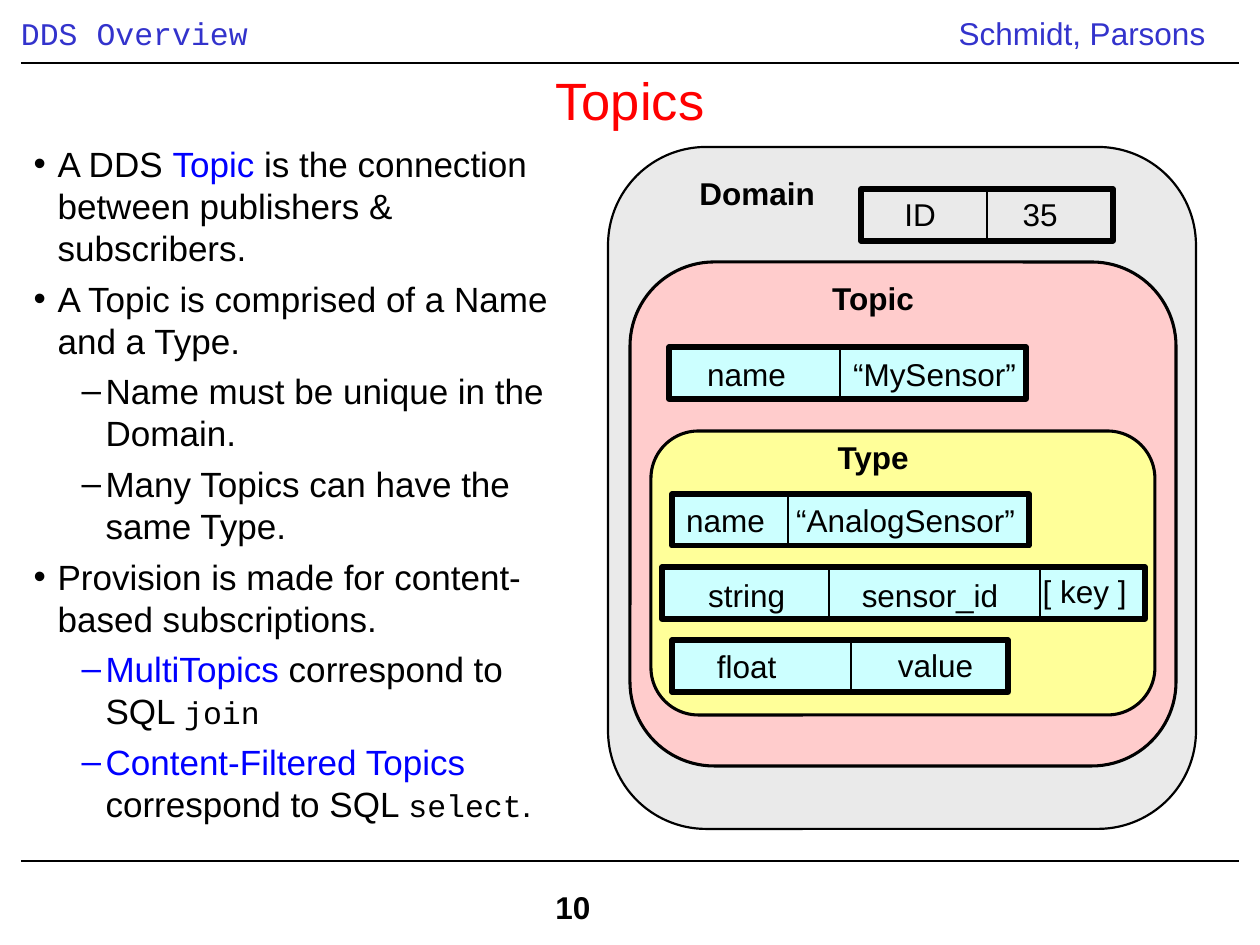
from lxml import etree
from pptx import Presentation
from pptx.dml.color import RGBColor
from pptx.enum.shapes import MSO_CONNECTOR, MSO_SHAPE
from pptx.enum.text import MSO_ANCHOR, MSO_AUTO_SIZE, PP_ALIGN
from pptx.oxml.ns import qn
from pptx.util import Emu, Pt

RECT = MSO_SHAPE.RECTANGLE
ROUND = MSO_SHAPE.ROUNDED_RECTANGLE
STRAIGHT = MSO_CONNECTOR.STRAIGHT
LEFT, CENTER = PP_ALIGN.LEFT, PP_ALIGN.CENTER
TOP, MIDDLE = MSO_ANCHOR.TOP, MSO_ANCHOR.MIDDLE
NO_FIT = MSO_AUTO_SIZE.NONE

SCALE = 914400 / 126
SANS, MONO = "Arial", "Courier New"
ROW_H, TEXT_H, HANG = 52, 50, 24
COLORS = {
    "ink": "000000", "header": "3333CC", "title": "FF0000", "term": "0000FF",
    "domain": "EAEAEA", "topic": "FFCCCC", "type": "FFFF99", "cell": "CCFFFF",
    "white": "FFFFFF",
}

# (level, space before in points, [(text, style)])
BULLETS = [
    (0, 0, [("A DDS ", "plain"), ("Topic", "term"),
            (" is the connection between publishers & subscribers.", "plain")]),
    (0, 5, [("A Topic is comprised of a Name and a Type.", "plain")]),
    (1, 5, [("Name must be unique in the Domain.", "plain")]),
    (1, 5, [("Many Topics can have the same Type.", "plain")]),
    (0, 5, [("Provision is made for content-based subscriptions.", "plain")]),
    (1, 4.5, [("MultiTopics", "term"), (" correspond to SQL ", "plain"),
              ("join", "code")]),
    (1, 5, [("Content-Filtered Topics", "term"),
            (" correspond to SQL ", "plain"), ("select", "code"),
            (".", "plain")]),
]
STYLES = {
    "plain": (20, "ink", SANS),
    "term": (20, "term", SANS),
    "code": (18, "ink", MONO),
}

# Nested regions: (box, fill, line width, label, label left, label top)
REGIONS = [
    ((608, 147, 588, 682), "domain", 1.25, "Domain ", 672, 168),
    ((630, 262, 546, 504), "topic", 1.75, "Topic ", 788, 273),
    ((651, 431, 504, 284), "type", 1.75, "Type ", 788, 432),
]
# Field rows: (left, top, width, fill, dividers, [(text, left, top, width)])
ROWS = [
    (861, 189, 252, None, [987],
     [("ID ", 835, 189, 179), ("35 ", 955, 189, 179)]),
    (669, 347, 357, "cell", [840],
     [("name ", 683, 349, 136), ("“MySensor” ", 840, 349, 189)]),
    (672, 494, 357, "cell", [788],
     [("name ", 662, 495, 136), ("“AnalogSensor” ", 777, 495, 266)]),
    (662, 567, 483, "cell", [829, 1040],
     [("string ", 683, 570, 136), ("sensor_id ", 840, 570, 189),
      ("[ key ] ", 1021, 566, 136)]),
    (672, 640, 336, "cell", [851],
     [("float ", 683, 641, 136), ("value ", 872, 640, 136)]),
]


def px(n):
    return Emu(round(n * SCALE))


def rgb(name):
    return RGBColor.from_string(COLORS[name])


def style(font, size, color, name=SANS, bold=False):
    font.size, font.name, font.bold = Pt(size), name, bold
    font.color.rgb = rgb(color)


def add_text(s, text, box, color="ink", align=CENTER, name=SANS, bold=False):
    sp = s.shapes.add_textbox(*map(px, box))
    tf = sp.text_frame
    tf.word_wrap = True
    tf.text = text
    p = tf.paragraphs[0]
    p.alignment = align
    style(p.runs[0].font, 18, color, name, bold)
    return sp


def add_box(s, kind, box, fill, width):
    sp = s.shapes.add_shape(kind, *map(px, box))
    sp.shadow.inherit = False
    if fill:
        sp.fill.solid()
        sp.fill.fore_color.rgb = rgb(fill)
    else:
        sp.fill.background()
    sp.line.color.rgb = rgb("ink")
    sp.line.width = Pt(width)
    return sp


def add_line(s, x1, y1, x2, y2, width):
    line = s.shapes.add_connector(STRAIGHT, *map(px, (x1, y1, x2, y2)))
    line.line.color.rgb = rgb("ink")
    line.line.width = Pt(width)
    etree.SubElement(line._element.spPr, qn("a:effectLst"))
    return line


def add_region(s, box, fill, width, label, x, y):
    sp = add_box(s, ROUND, box, fill, width)
    sp.adjustments[0] = 0.167
    add_text(s, label, (x, y, 179, TEXT_H), bold=True)


def add_row(s, left, top, width, fill, dividers, cells):
    sp = add_box(s, RECT, (left, top, width, ROW_H), fill, 3)
    for x in dividers:
        line = add_line(s, x, top, x, top + ROW_H, 1.5)
        if 2 * x == 2 * left + width:
            line.begin_connect(sp, 0)
            line.end_connect(sp, 2)
    for text, x, y, w in cells:
        add_text(s, text, (x, y, w, TEXT_H))


def place(sp, box, anchor):
    sp.left, sp.top, sp.width, sp.height = map(px, box)
    tf = sp.text_frame
    tf.word_wrap, tf.auto_size, tf.vertical_anchor = True, NO_FIT, anchor
    return tf


def set_bullet(p, level, color):
    pPr = p._p.get_or_add_pPr()
    pPr.set("marL", str(px(HANG + 2 * HANG * level)))
    pPr.set("indent", str(-px(HANG)))
    clr = etree.SubElement(pPr, qn("a:buClr"))
    etree.SubElement(clr, qn("a:srgbClr"), val=COLORS[color])
    etree.SubElement(pPr, qn("a:buFont"), typeface=SANS)
    etree.SubElement(pPr, qn("a:buChar"), char="•–"[level])


def fill_title(s):
    tf = place(s.shapes.title, (21, 73, 1218, 53), MIDDLE)
    tf.text = "Topics"
    p = tf.paragraphs[0]
    p.alignment = CENTER
    style(p.runs[0].font, 30, "title")


def fill_body(s):
    tf = place(s.placeholders[1], (21, 136, 567, 714), TOP)
    for i, (level, before, parts) in enumerate(BULLETS):
        p = tf.add_paragraph() if i else tf.paragraphs[0]
        p.level = level
        set_bullet(p, level, STYLES[parts[0][1]][1] if level else "ink")
        p.alignment = LEFT
        p.space_before = Pt(before)
        for text, kind in parts:
            r = p.add_run()
            r.text = text
            style(r.font, *STYLES[kind])


def add_frame(s):
    header = add_text(s, "DDS Overview", (21, 8, 746, TEXT_H), "header", LEFT, MONO)
    header.text_frame.margin_left = header.text_frame.margin_right = 0
    add_text(s, "Schmidt, Parsons", (924, 8, 316, TEXT_H), "header")
    for y in (63, 861):
        add_line(s, 21, y, 1239, y, 0.75)
    number = add_text(s, "10", (543, 882, 178, TEXT_H), align=LEFT, bold=True)
    number.fill.solid()
    number.fill.fore_color.rgb = rgb("white")


def main():
    prs = Presentation()
    prs.slide_width, prs.slide_height = px(1260), px(945)
    s = prs.slides.add_slide(prs.slide_layouts[1])
    # Header, rules and page number
    add_frame(s)
    # Title and list
    fill_title(s)
    fill_body(s)
    # Domain, topic and type diagram
    for region in REGIONS:
        add_region(s, *region)
    for row in ROWS:
        add_row(s, *row)
    prs.save("out.pptx")


if __name__ == "__main__":
    main()
